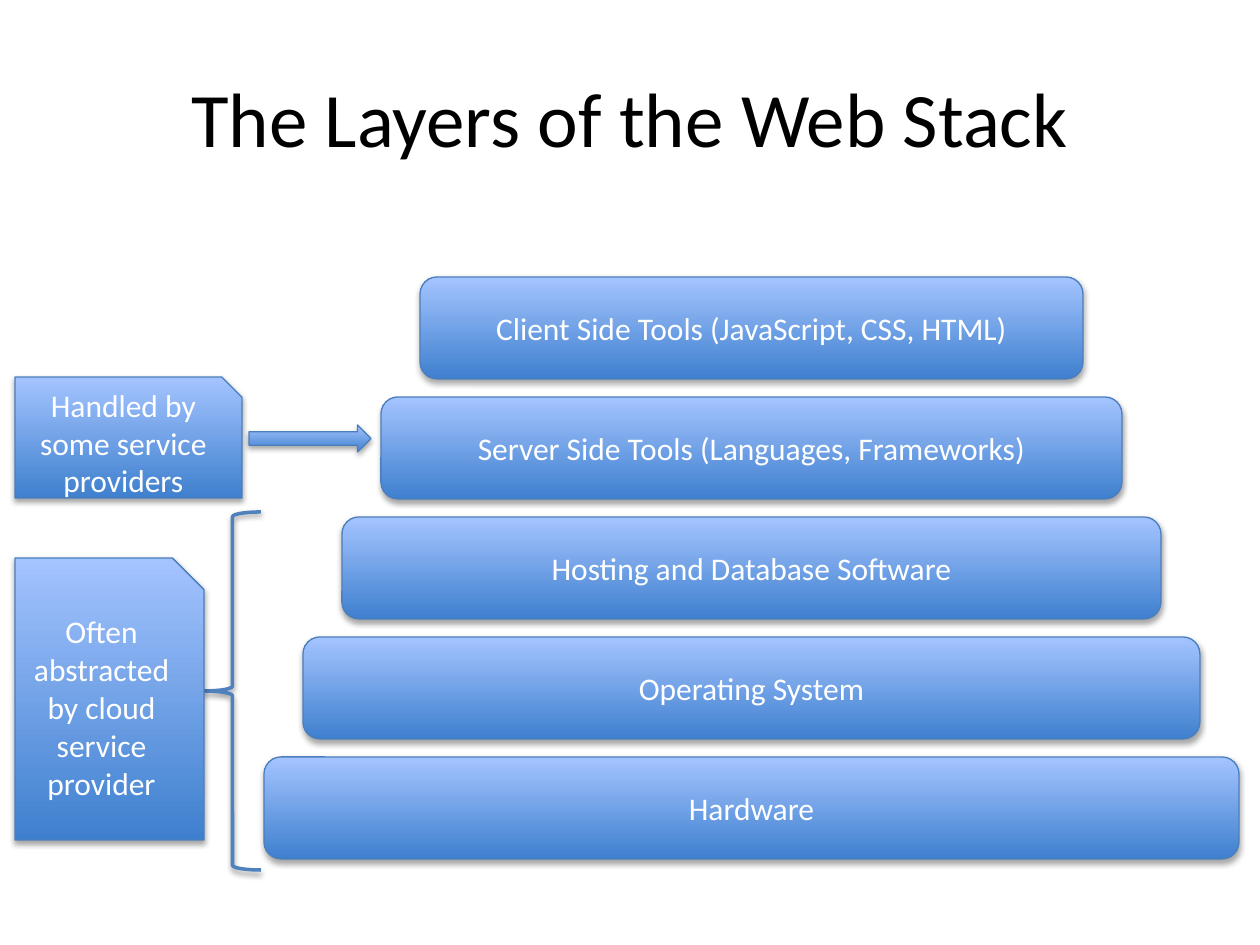
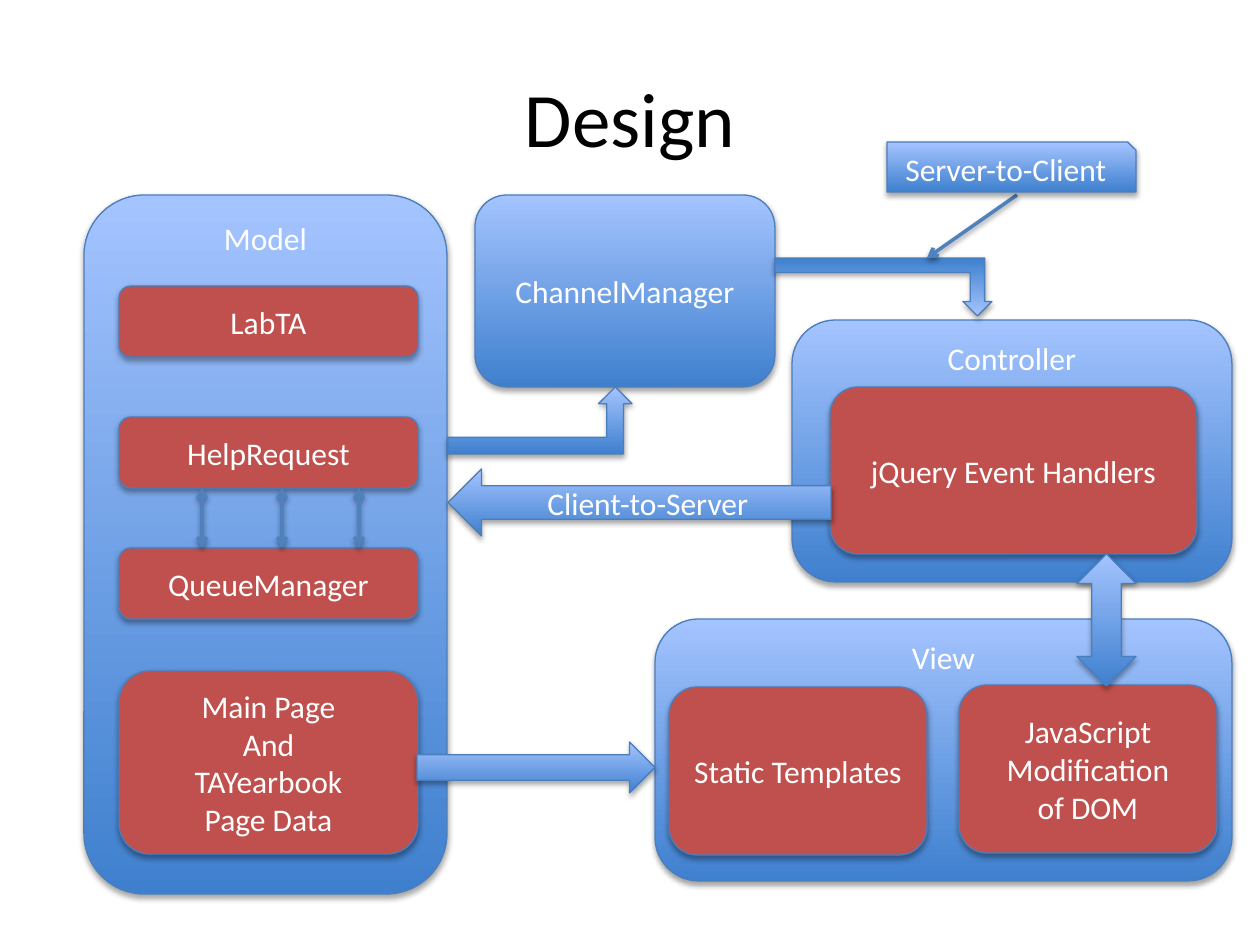
import dataclasses
import pptx
import pptx.dml.color
import pptx.enum.shapes
import pptx.enum.text
import pptx.oxml
import pptx.oxml.ns
import pptx.util

KIND = pptx.enum.shapes.MSO_SHAPE
ANCHOR = pptx.enum.text.MSO_ANCHOR
CENTER = pptx.enum.text.PP_ALIGN.CENTER


@dataclasses.dataclass(frozen=True)
class Theme:
    font: str = "Calibri"
    head: int = 44
    body: int = 18
    black: str = "000000"
    white: str = "FFFFFF"
    low: str = "3F80CE"
    high: str = "A4C4FF"
    red: str = "C0504D"
    edge: str = "4B7EBC"
    line: str = "4F81BD"
    thin: float = 0.75
    thick: float = 2


THEME = Theme()


# Shared helpers
def px(num):
    return round(num * 914400 / 126)


def rgb(code):
    return pptx.dml.color.RGBColor.from_string(code)


def put(item, form):
    for name, value in form.items():
        setattr(item, name, value)


def inner(box, x, y, w, h):
    return box[0] + x, box[1] + y, w, h


def shade(item, alpha=35, dist=23000):
    item._element.spPr.append(pptx.oxml.parse_xml(
        f'<a:effectLst {pptx.oxml.ns.nsdecls("a")}>'
        f'<a:outerShdw blurRad="40000" dist="{dist}" dir="5400000" rotWithShape="0">'
        f'<a:srgbClr val="{THEME.black}"><a:alpha val="{alpha * 1000}"/></a:srgbClr>'
        '</a:outerShdw></a:effectLst>'))


def stroke(line, color, width):
    line.color.rgb = rgb(color)
    line.width = pptx.util.Pt(width)


def write(frame, text, size, color, anchor=ANCHOR.MIDDLE):
    put(frame, {"word_wrap": True, "vertical_anchor": anchor})
    form = {"name": THEME.font, "size": pptx.util.Pt(size)}
    for num, words in enumerate(text.split("\n")):
        para = frame.add_paragraph() if num else frame.paragraphs[0]
        para.alignment = CENTER
        run = para.add_run()
        run.text = words
        put(run.font, form)
        run.font.color.rgb = rgb(color)


def block(slide, kind, box, text="", fill=None, anchor=ANCHOR.MIDDLE):
    """Gradient shape, or a plain one when a fill colour is given."""
    shape = slide.shapes.add_shape(kind, *map(px, box))
    if fill:
        shape.fill.solid()
        shape.fill.fore_color.rgb = rgb(fill)
    else:
        shape.fill.gradient()
        shape.fill.gradient_angle = 90
        for stop, color in zip(shape.fill.gradient_stops, (THEME.low, THEME.high)):
            stop.color.rgb = rgb(color)
    stroke(shape.line, THEME.edge, THEME.thin)
    shade(shape)
    if text:
        write(shape.text_frame, text, THEME.body, THEME.white, anchor)
    return shape


def link(slide, start, end, tips):
    wire = slide.shapes.add_connector(
        pptx.enum.shapes.MSO_CONNECTOR.STRAIGHT, *map(px, start + end))
    stroke(wire.line, THEME.line, THEME.thick)
    for tip in tips:
        mark = pptx.oxml.parse_xml(
            f'<a:{tip} {pptx.oxml.ns.nsdecls("a")} type="arrow"/>')
        wire.line._get_or_add_ln().append(mark)
    shade(wire, 38, 20000)


def page(deck, title):
    slide = deck.slides.add_slide(deck.slide_layouts[6])
    head = slide.shapes.add_textbox(*map(px, (63, 38, 1134, 157)))
    write(head.text_frame, title, THEME.head, THEME.black)
    return slide


# Web stack: each layer is narrower than the one below
def stack(slide, box):
    names = ("Client Side Tools (JavaScript, CSS, HTML)",
             "Server Side Tools (Languages, Frameworks)",
             "Hosting and Database Software", "Operating System", "Hardware")
    for row, name in enumerate(names):
        inset = 39 * (len(names) - 1 - row)
        block(slide, KIND.ROUNDED_RECTANGLE,
              inner(box, inset, 120 * row, box[2] - 2 * inset, 102), name)


def notes(slide, box):
    brace = slide.shapes.add_shape(
        KIND.LEFT_BRACE, *map(px, inner(box, 189, 135, 57, 358)))
    brace.fill.background()
    stroke(brace.line, THEME.line, THEME.thick)
    shade(brace, 38, 20000)
    block(slide, KIND.SNIP_1_RECTANGLE, inner(box, 0, 181, 189, 282),
          "Often abstracted by cloud service provider")
    block(slide, KIND.SNIP_1_RECTANGLE, inner(box, 0, 0, 227, 121),
          "Handled by some service providers")
    block(slide, KIND.RIGHT_ARROW, inner(box, 234, 48, 122, 27))


# Design: a titled panel holding red parts
def panel(slide, box, title, parts):
    block(slide, KIND.ROUNDED_RECTANGLE, box, title, anchor=ANCHOR.TOP)
    for text, *place in parts:
        block(slide, KIND.ROUNDED_RECTANGLE, inner(box, *place), text, THEME.red)


def model(slide, box):
    names = ("LabTA", "HelpRequest", "QueueManager")
    parts = [(name, 35, 91 + 131 * row, 299, 71) for row, name in enumerate(names)]
    parts.append(("Main Page\nAnd\nTAYearbook\nPage Data", 35, 476, 299, 183))
    panel(slide, box, "Model", parts)
    for x in (118, 198, 275):
        link(slide, (box[0] + x, box[1] + 293), (box[0] + x, box[1] + 353),
             ("headEnd", "tailEnd"))


def flows(slide, box):
    block(slide, KIND.RIGHT_ARROW, inner(box, 0, 600, 238, 51))
    block(slide, KIND.LEFT_ARROW, inner(box, 31, 327, 383, 67), "Client-to-Server")
    block(slide, KIND.BENT_UP_ARROW, inner(box, 31, 245, 184, 67))
    turn = block(slide, KIND.BENT_UP_ARROW, inner(box, 358, 116, 217, 58))
    turn._element.spPr.xfrm.set("flipV", "1")
    x, y = box[:2]
    link(slide, (x + 600, y + 53), (x + 510, y + 116), ("tailEnd",))
    block(slide, KIND.SNIP_1_RECTANGLE, inner(box, 470, 0, 249, 50),
          "Server-to-Client ")
    block(slide, KIND.UP_DOWN_ARROW, inner(box, 660, 412, 59, 132))


def main():
    deck = pptx.Presentation()
    put(deck, {"slide_width": px(1260), "slide_height": px(945)})

    slide = page(deck, "The Layers of the Web Stack")
    stack(slide, (264, 277, 975, 582))
    notes(slide, (15, 377, 356, 493))

    slide = page(deck, "Design")
    model(slide, (84, 195, 363, 699))
    panel(slide, (792, 320, 440, 262), "Controller",
          [("jQuery Event Handlers", 38, 67, 367, 167)])
    panel(slide, (655, 619, 577, 262), "View",
          [("Static Templates", 14, 68, 258, 168),
           ("JavaScript\nModification\nof DOM", 304, 66, 258, 168)])
    block(slide, KIND.ROUNDED_RECTANGLE, (475, 195, 300, 192), "ChannelManager")
    flows(slide, (417, 142, 719, 651))

    deck.save("out.pptx")


if __name__ == "__main__":
    main()
